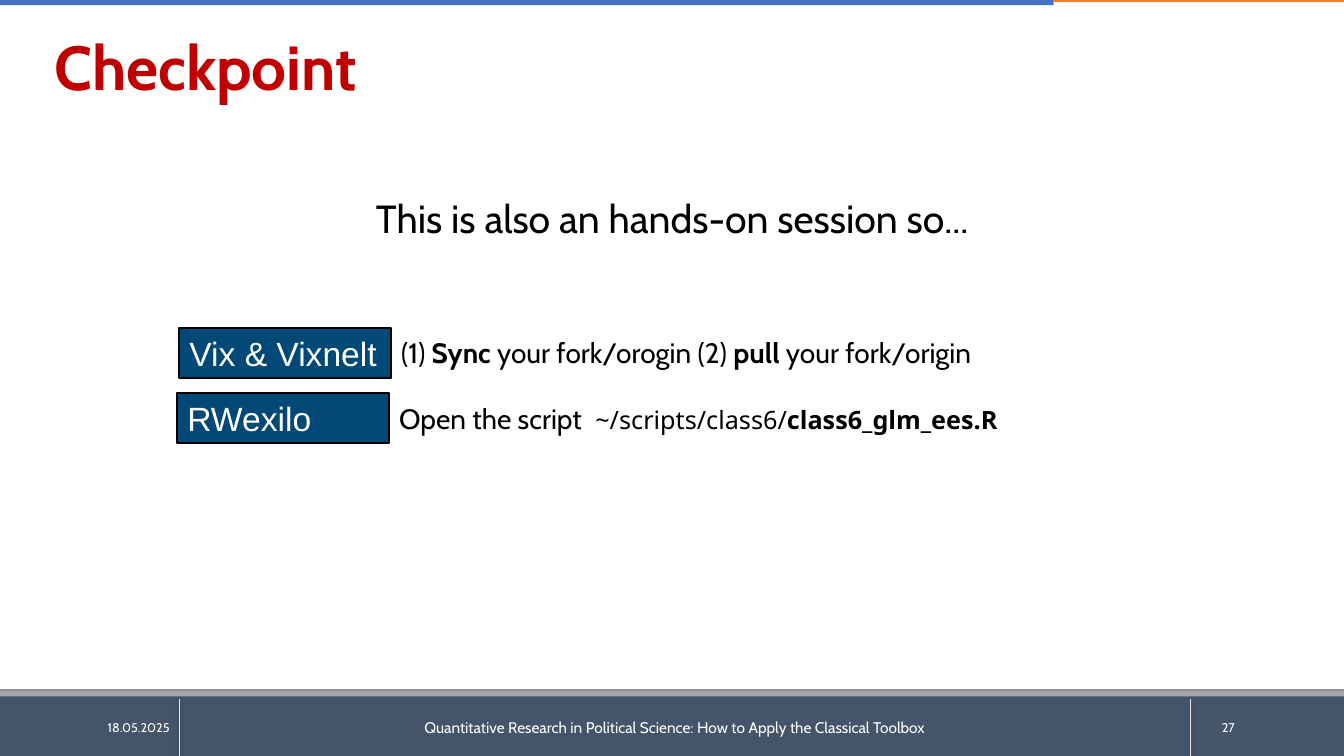
from pptx import Presentation
from pptx.dml.color import RGBColor
from pptx.enum.shapes import MSO_CONNECTOR, MSO_SHAPE
from pptx.enum.text import MSO_ANCHOR as ANCHOR, PP_ALIGN as ALIGN
from pptx.oxml import parse_xml
from pptx.oxml.ns import nsdecls
from pptx.util import Inches, Pt

SHADOW = (
    f'<a:effectLst {nsdecls("a")}>'
    '<a:outerShdw blurRad="39370" dist="20320" dir="5400000" rotWithShape="0">'
    '<a:srgbClr val="000000"><a:alpha val="38000"/></a:srgbClr>'
    '</a:outerShdw></a:effectLst>'
)


def rgb(value):
    """Turn a hex string into a colour."""
    return RGBColor.from_string(value)


def write(sp, runs, align=ALIGN.LEFT, anchor=ANCHOR.TOP, **base):
    """Fill a shape with one paragraph of (text, format) runs."""
    tf = sp.text_frame
    tf.word_wrap = True
    tf.vertical_anchor = anchor
    p = tf.paragraphs[0]
    p.alignment = align
    for text, extra in runs:
        r = p.add_run()
        r.text = text
        fmt = {"name": "Cabin", "bold": False, "color": "000000", **base, **extra}
        r.font.color.rgb = rgb(fmt.pop("color"))
        for key, value in fmt.items():
            setattr(r.font, key, value)
    return p


def add_text(s, box, runs, **options):
    """Place a text box and write its runs."""
    sp = s.shapes.add_textbox(*map(Inches, box))
    return write(sp, runs, **options)


def add_rect(s, box, fill, line=None):
    """Place a filled rectangle, outlined if a line colour is given."""
    sp = s.shapes.add_shape(MSO_SHAPE.RECTANGLE, *map(Inches, box))
    sp.shadow.inherit = False
    sp.fill.solid()
    sp.fill.fore_color.rgb = rgb(fill)
    if line:
        sp.line.color.rgb = rgb(line)
        sp.line.width = Pt(1.5)
    else:
        sp.line.fill.background()
    return sp


def add_top_bar(s, left, top, width):
    """Draw the two-coloured strip along the top edge."""
    blue = 10.45
    add_rect(s, (left, top, blue, 0.05), "4472C4")
    add_rect(s, (left + blue, top, width - blue, 0.02), "ED7D31")


def add_footer(s, left, top, width, height):
    """Draw the footer band with its dividers, date, title and page number."""
    add_rect(s, (left, top, width, height), "44546A")
    for x in (left + 1.78, left + 11.81):
        ends = map(Inches, (x, top + 0.09, x, top + height))
        line = s.shapes.add_connector(MSO_CONNECTOR.STRAIGHT, *ends)
        line.line.color.rgb = rgb("E7E6E6")
        line.line.width = Pt(0.5)
        line._element.spPr.append(parse_xml(SHADOW))
    add_rect(s, (left, top + 0.01, width, 0.06), "A5A5A5")
    course = ("Quantitative Research in Political Science: "
              "How to Apply the Classical Toolbox")
    for x, w, text, size, align in (
        (1.78, 9.83, course, 11, ALIGN.CENTER),
        (12.02, 1.31, "27", 9, ALIGN.LEFT),
        (0.44, 1.34, "18.05.2025", 9, ALIGN.RIGHT),
    ):
        add_text(s, (left + x, top + 0.18, w, 0.4), [(text, {})], align=align,
                 anchor=ANCHOR.MIDDLE, size=Pt(size), color="FFFFFF")


def add_title(s, left, top, width, height):
    """Write the slide title."""
    p = add_text(s, (left, top, width, height), [("Checkpoint", {})],
                 size=Pt(44.4), bold=True, color="C00000")
    p.line_spacing = 0.8
    p.space_before = Pt(10)


def add_step(s, left, top, tool, runs):
    """Place a tool label with its instruction to the right."""
    width = 2.1
    label = add_rect(s, (left, top, width, 0.5), "004876", "000000")
    write(label, [(tool, {})], name="Arial", size=Pt(24), color="FFFFFF")
    add_text(s, (left + width, top + 0.03, 7.09, 0.44), runs, size=Pt(20))


def main():
    """Build the checkpoint slide and save it."""
    prs = Presentation()
    prs.slide_width, prs.slide_height = Inches(13.33), Inches(7.5)
    s = prs.slides.add_slide(prs.slide_layouts[6])
    add_top_bar(s, 0, 0, 13.33)
    add_footer(s, 0, 6.84, 13.33, 0.66)
    add_title(s, 0.44, 0.38, 9.7, 0.75)
    add_text(s, (3.12, 1.88, 7.09, 0.57),
             [("This is also an hands-on session so...", {})],
             align=ALIGN.CENTER, size=Pt(28))
    bold = {"bold": True}
    code = {"name": "Noto Sans", "size": Pt(18)}
    add_step(s, 1.78, 3.25, "Vix & Vixnelt", [
        ("(1)", {}), (" Sync ", bold), ("your fork/orogin (2) ", {}),
        ("pull", bold), (" your fork/origin", {}),
    ])
    add_step(s, 1.76, 3.9, "RWexilo", [
        ("Open the script ", {}), (" ", {**code, "name": "Arial"}),
        ("~/scripts/class6/", code), ("class6_glm_ees.R", {**code, **bold}),
    ])
    prs.save("out.pptx")


if __name__ == "__main__":
    main()
